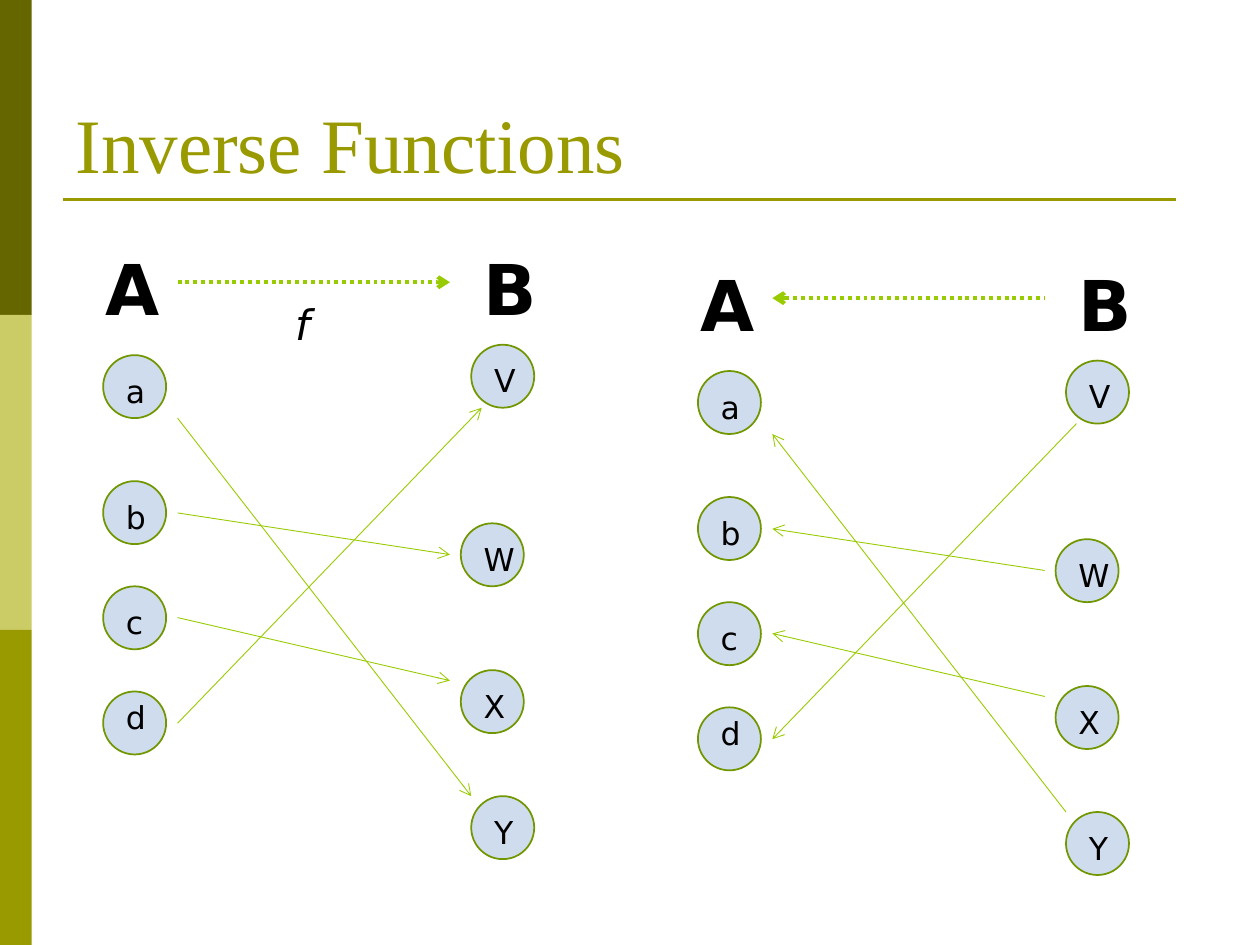
from pptx import Presentation
from pptx.dml.color import RGBColor
from pptx.enum.dml import MSO_LINE
from pptx.enum.shapes import MSO_CONNECTOR, MSO_SHAPE
from pptx.enum.text import MSO_ANCHOR, MSO_AUTO_SIZE, PP_ALIGN
from pptx.oxml.ns import qn
from pptx.util import Cm, Pt
from lxml.etree import SubElement

SANS = "DejaVu Sans"
GAP = 0.21   # label inset within a node
DIAM = 1.27  # node diameter

# Nodes: label, left, top, label drop
NODES = [
    ("a", 2.08, 7.16, GAP), ("b", 2.08, 9.7, GAP),
    ("c", 2.08, 11.82, GAP), ("d", 2.08, 13.94, 0),
    ("V", 9.5, 6.95, GAP), ("W", 9.29, 10.55, GAP),
    ("X", 9.29, 13.51, GAP), ("Y", 9.5, 16.05, GAP),
]
# Mapping arrows: start height, end point; all start at the same left edge
START = 3.58
MAPS = [(8.43, 9.5, 16.05), (10.34, 9.07, 11.18),
        (12.45, 9.07, 13.72), (14.58, 9.71, 8.22)]


def color(code):
    return RGBColor.from_string(code)


def assign(item, values):
    for name, value in values.items():
        setattr(item, name, value)


class Deck:
    head = {"name": "Times New Roman", "size": Pt(44)}
    caps = {"name": SANS, "size": Pt(40), "bold": True}
    label = {"name": SANS, "size": Pt(18)}
    func = {"name": SANS, "size": Pt(24), "italic": True}

    def __init__(self):
        self.prs = Presentation()
        assign(self.prs, {"slide_width": Cm(25.4), "slide_height": Cm(19.05)})
        self.slide = self.prs.slides.add_slide(self.prs.slide_layouts[5])
        self.shapes, self.dx, self.dy = self.slide.shapes, 0, 0

    def group(self, dx, dy):
        self.shapes = self.slide.shapes.add_group_shape().shapes
        self.dx, self.dy = dx, dy

    def spot(self, x, y):
        return Cm(x + self.dx), Cm(y + self.dy)

    def letter(self, frame, text, style, ink):
        para = frame.paragraphs[0]
        para.text = text
        para.alignment = PP_ALIGN.LEFT
        font = para.runs[0].font
        assign(font, style)
        font.color.rgb = color(ink)

    def title(self, text):
        shape = self.slide.shapes.title
        assign(shape, {"left": Cm(1.27), "top": Cm(0.76),
                       "width": Cm(22.86), "height": Cm(3.18)})
        assign(shape.text_frame, {"vertical_anchor": MSO_ANCHOR.BOTTOM,
                                  "word_wrap": True})
        self.letter(shape.text_frame, text, self.head, "999900")

    def text(self, x, y, w, h, words, style):
        box = self.shapes.add_textbox(*self.spot(x, y), Cm(w), Cm(h))
        assign(box.text_frame, {"word_wrap": True,
                                "auto_size": MSO_AUTO_SIZE.SHAPE_TO_FIT_TEXT})
        self.letter(box.text_frame, words, style, "000000")

    def shape(self, kind, x, y, w, h, fill):
        shape = self.shapes.add_shape(kind, *self.spot(x, y), Cm(w), Cm(h))
        shape.shadow.inherit = False
        shape.fill.solid()
        shape.fill.fore_color.rgb = color(fill)
        return shape

    def bar(self, y, fill):
        bar = self.shape(MSO_SHAPE.RECTANGLE, 0, y, 0.64, 6.35, fill)
        bar.line.fill.background()

    def node(self, name, x, y, drop):
        disc = self.shape(MSO_SHAPE.FLOWCHART_CONNECTOR, x, y, DIAM, DIAM, "4F81BD")
        tint = disc.element.spPr.find(qn("a:solidFill"))[0]
        SubElement(tint, qn("a:alpha")).set("val", "27000")
        disc.line.color.rgb = color("719700")
        disc.line.width = Pt(1)
        self.text(x + GAP, y + drop, 0.85, 1.02, name, self.label)

    def line(self, x1, y1, x2, y2, ink, width, tip=None, dash=None):
        link = self.shapes.add_connector(
            MSO_CONNECTOR.STRAIGHT, *self.spot(x1, y1), *self.spot(x2, y2))
        link.line.color.rgb = color(ink)
        assign(link.line, {"width": Pt(width), "dash_style": dash})
        props = link.element.spPr
        if tip:
            SubElement(props.find(qn("a:ln")), qn(tip)).set("type", "arrow")
        SubElement(props, qn("a:effectLst"))

    def panel(self, dx, dy, tip):
        self.group(dx, dy)
        for node in NODES:
            self.node(*node)
        for name, x in (("A", 1.88), ("B", 9.5)):
            self.text(x, 4.83, 1.9, 1.96, name, self.caps)
        for y, x2, y2 in MAPS:
            self.line(START, y, x2, y2, "99CC00", 0.5, tip)
        self.line(START, 5.69, 9.07, 5.69, "99CC00", 2.25, tip, MSO_LINE.ROUND_DOT)


def main():
    deck = Deck()
    # Side bars, title and rule
    for i, fill in enumerate(("666600", "CCCC66", "999900")):
        deck.bar(6.35 * i, fill)
    deck.line(1.27, 4.02, 23.7, 4.02, "999900", 1.5)
    deck.title("Inverse Functions")
    # The function and its inverse
    deck.panel(0, 0, "a:tailEnd")
    deck.text(5.7, 5.9, 1.48, 1.27, "f", deck.func)
    deck.panel(11.99, 0.32, "a:headEnd")
    deck.prs.save("out.pptx")


if __name__ == "__main__":
    main()
